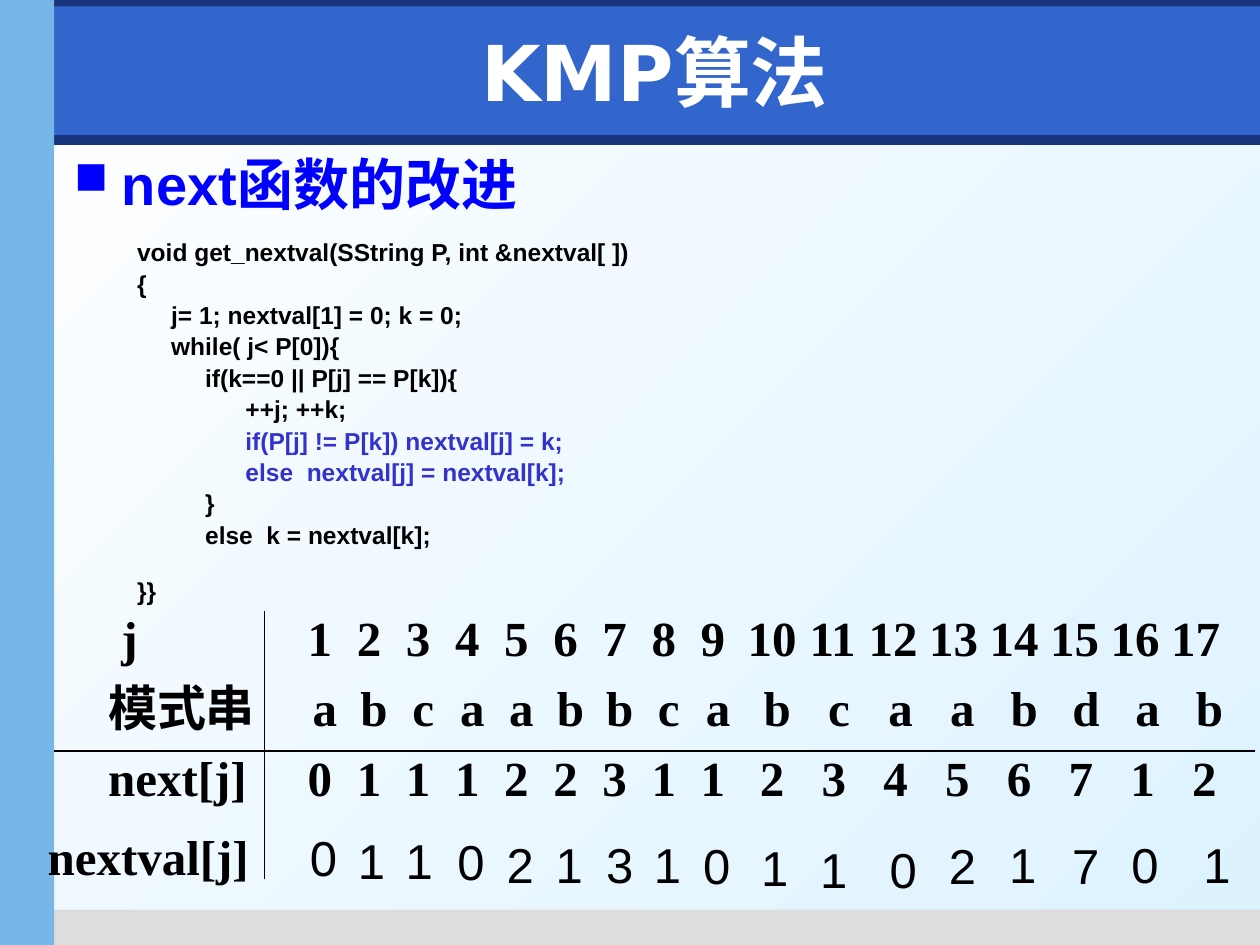
from dataclasses import dataclass

from lxml import etree
from pptx import Presentation
from pptx.dml.color import RGBColor
from pptx.enum.shapes import MSO_CONNECTOR, MSO_SHAPE
from pptx.enum.text import MSO_ANCHOR, PP_ALIGN
from pptx.oxml.ns import qn
from pptx.util import Inches, Pt

RECTANGLE = MSO_SHAPE.RECTANGLE
STRAIGHT = MSO_CONNECTOR.STRAIGHT
TOP, MIDDLE = MSO_ANCHOR.TOP, MSO_ANCHOR.MIDDLE
LEFT, CENTER = PP_ALIGN.LEFT, PP_ALIGN.CENTER


@dataclass(frozen=True)
class Theme:
    white: str = "FFFFFF"
    black: str = "000000"
    pale: str = "DDF2FF"
    navy: str = "17347D"
    banner: str = "3366CC"
    sidebar: str = "77B7E7"
    footer: str = "DDDDDD"
    heading: str = "0000FF"
    accent: str = "3333CC"
    title_font: str = "DejaVu Sans"
    body_font: str = "Arial"
    grid_font: str = "Times New Roman"
    title_size: float = 44
    heading_size: float = 32
    grid_size: float = 28
    code_size: float = 14


class SlideBuilder:
    def __init__(self, slide, theme):
        self.slide = slide
        self.theme = theme

    def background(self, start, end):
        fill = self.slide.background.fill
        fill.gradient()
        fill.gradient_angle = 315
        for stop, color in zip(fill.gradient_stops, (start, end)):
            stop.color.rgb = RGBColor.from_string(color)

    def band(self, color, left, top, width, height):
        shape = self.slide.shapes.add_shape(
            RECTANGLE, Inches(left), Inches(top), Inches(width), Inches(height))
        shape.shadow.inherit = False
        shape.fill.solid()
        shape.fill.fore_color.rgb = RGBColor.from_string(color)
        shape.line.fill.background()

    def rule(self, x1, y1, x2, y2):
        line = self.slide.shapes.add_connector(
            STRAIGHT, Inches(x1), Inches(y1), Inches(x2), Inches(y2))
        line.line.color.rgb = RGBColor.from_string(self.theme.black)
        line.line.width = Pt(0.75)
        etree.SubElement(line._element.spPr, qn("a:effectLst"))

    def text_frame(self, left, top, width, height, anchor=TOP, wrap=True, inset=True):
        box = self.slide.shapes.add_textbox(
            Inches(left), Inches(top), Inches(width), Inches(height))
        frame = box.text_frame
        frame.word_wrap = wrap
        frame.vertical_anchor = anchor
        if not inset:
            frame.margin_left = frame.margin_right = 0
            frame.margin_top = frame.margin_bottom = 0
        return frame

    def paragraph(self, frame, text, font, size, color, bold=True, align=LEFT,
                  before=0, spacing=None, indent=0, bullet=None, tabs=()):
        first = frame.paragraphs[0]
        para = frame.add_paragraph() if first.runs else first
        para.alignment = align
        properties = para._p.get_or_add_pPr()
        if indent:
            properties.set("marL", str(Inches(indent)))
        if bullet:
            properties.set("indent", str(Inches(-indent)))
            bullet_color = etree.SubElement(properties, qn("a:buClr"))
            etree.SubElement(bullet_color, qn("a:srgbClr"), val=color)
            etree.SubElement(properties, qn("a:buSzPct"), val="82000")
            etree.SubElement(properties, qn("a:buChar"), char=bullet)
        if tabs:
            # An indent attribute would cancel the tab stops when drawn
            tab_list = etree.SubElement(properties, qn("a:tabLst"))
            for position in tabs:
                etree.SubElement(tab_list, qn("a:tab"),
                                 pos=str(Inches(position)), algn="ctr")
        para.space_before = Pt(before)
        if spacing:
            para.line_spacing = spacing
        para.font.name = font
        para.font.size = Pt(size)
        para.font.bold = bold
        para.font.color.rgb = RGBColor.from_string(color)
        span = para.add_run()
        span.text = text


def column_stops(shift, wide_pitch):
    """Nine narrow columns, then eight wider ones, from the box's text edge."""
    narrow = [1.68 + shift + 0.39 * i for i in range(9)]
    wide = [5.27 + shift + wide_pitch * i for i in range(8)]
    return narrow + wide


# Code lines: indent level, text, highlighted
CODE_INDENTS = (0, 0.27, 0.54, 0.86)
CODE = [
    (0, "void get_nextval(SString P, int &nextval[ ])", False),
    (0, "{", False),
    (1, "j= 1; nextval[1] = 0; k = 0;", False),
    (1, "while( j< P[0]){", False),
    (2, "if(k==0 || P[j] == P[k]){", False),
    (3, "++j; ++k;", False),
    (3, "if(P[j] != P[k]) nextval[j] = k;", True),
    (3, "else  nextval[j] = nextval[k];", True),
    (2, "}", False),
    (2, "else  k = nextval[k];", False),
    (0, "}}", False),
]

# Grid rows: label, stops for the label, values, column shift, wide column pitch
ROWS = [
    ("\tj", [0.17], range(1, 18), 0, 0.48),
    ("模式串", [], "abcaabbcabcaabdab", 0.04, 0.49),
    ("next[j]", [], "01112231123456712", 0, 0.49),
]

# Hand-placed nextval digits: value, left, top
NEXTVAL = [
    ("0", 2.46, 6.57), ("1", 2.84, 6.59), ("1", 3.22, 6.59), ("0", 3.63, 6.6),
    ("2", 4.02, 6.62), ("1", 4.41, 6.62), ("3", 4.81, 6.62), ("1", 5.19, 6.62),
    ("0", 5.58, 6.63), ("1", 6.04, 6.65), ("1", 6.51, 6.66), ("0", 7.06, 6.66),
    ("2", 7.53, 6.63), ("1", 8.01, 6.62), ("7", 8.51, 6.63), ("0", 8.98, 6.62),
    ("1", 9.55, 6.62),
]


def main():
    theme = Theme()
    deck = Presentation()
    deck.slide_width, deck.slide_height = Inches(10), Inches(7.5)
    page = SlideBuilder(deck.slides.add_slide(deck.slide_layouts[6]), theme)

    # Backdrop
    page.background(theme.white, theme.pale)
    page.band(theme.navy, 0.04, 1.07, 9.96, 0.08)
    page.band(theme.footer, 0.35, 7.22, 9.65, 0.28)
    page.band(theme.navy, 0, 0, 10, 0.21)
    page.band(theme.banner, 0.43, 0.05, 9.57, 1.02)
    page.band(theme.sidebar, 0, 0, 0.43, 7.5)

    # Title and heading
    title = page.text_frame(0.59, 0.13, 9.21, 0.87, anchor=MIDDLE)
    page.paragraph(title, "KMP算法", theme.title_font, theme.title_size,
                   theme.white, align=CENTER)
    heading = page.text_frame(0.49, 1.14, 9.37, 5.9)
    page.paragraph(heading, "next函数的改进", theme.body_font, theme.heading_size,
                   theme.heading, before=6.4, indent=0.38, bullet="■")

    # Code listing, with a wider gap above its last line
    listing = page.text_frame(0.99, 1.86, 4.57, 3.39)
    for number, (level, text, highlighted) in enumerate(CODE, 1):
        last = number == len(CODE)
        page.paragraph(listing, text, theme.body_font, theme.code_size,
                       theme.accent if highlighted else theme.black,
                       before=15.2 if last else 2.8, spacing=1.0 if last else 0.9,
                       indent=CODE_INDENTS[level])

    # Pattern and next rows on centred tab stops
    grid = page.text_frame(0.76, 4.77, 9.21, 1.81)
    for label, label_stops, values, shift, pitch in ROWS:
        text = "\t".join([label, *map(str, values)])
        page.paragraph(grid, text, theme.grid_font, theme.grid_size, theme.black,
                       before=6.4, tabs=label_stops + column_stops(shift, pitch))

    # Nextval row
    row_label = page.text_frame(0.28, 6.51, 1.82, 0.57, wrap=False)
    page.paragraph(row_label, "nextval[j]", theme.grid_font, theme.grid_size,
                   theme.black)
    for value, left, top in NEXTVAL:
        digit = page.text_frame(left, top, 0.19, 0.47, wrap=False, inset=False)
        page.paragraph(digit, value, theme.body_font, theme.grid_size,
                       theme.black, bold=False)

    # Grid rules
    page.rule(0.43, 5.96, 9.96, 5.96)
    page.rule(2.1, 6.98, 2.1, 4.85)

    deck.save("out.pptx")


if __name__ == "__main__":
    main()
